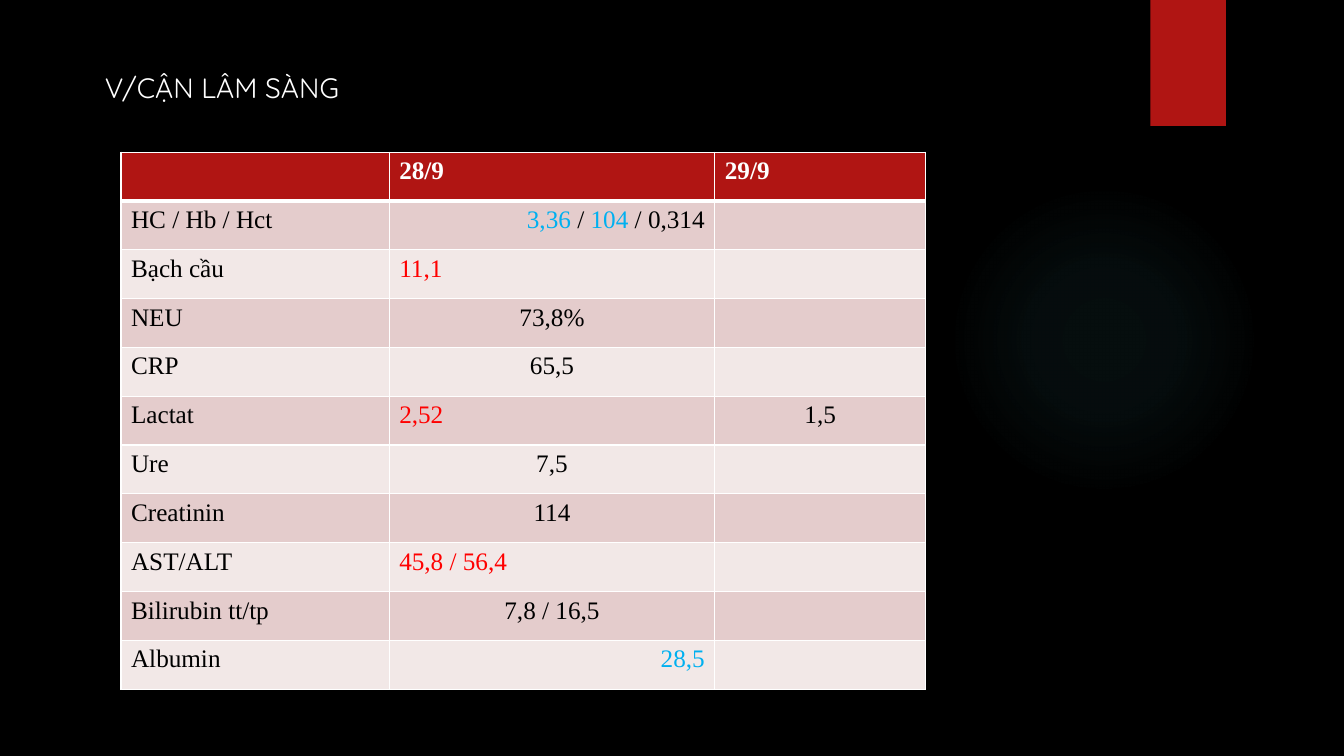
"""Build the laboratory results slide with its table of values for 28/9 and 29/9."""
import pptx
import pptx.dml.color
import pptx.enum.shapes
import pptx.enum.text
import pptx.oxml
import pptx.util

Inches = pptx.util.Inches
Pt = pptx.util.Pt
ALIGN = pptx.enum.text.PP_ALIGN
SHAPE = pptx.enum.shapes.MSO_SHAPE
NS = 'xmlns:a="http://schemas.openxmlformats.org/drawingml/2006/main"'
WHITE, BLACK, CRIMSON, RED, BLUE = "FFFFFF", "000000", "B01513", "FF0000", "00B0F0"
BANDS = ["F2E8E7", "E4CCCC"]


def paint(target, color):
    """Give a fill or a font a solid colour."""
    if hasattr(target, "solid"):
        target.solid()
        target.fore_color.rgb = pptx.dml.color.RGBColor.from_string(color)
    else:
        target.color.rgb = pptx.dml.color.RGBColor.from_string(color)


def write(paragraph, text, color, **formats):
    """Add a run with the given colour and font values."""
    run = paragraph.add_run()
    run.text = text
    for name, value in formats.items():
        setattr(run.font, name, value)
    paint(run.font, color)


deck = pptx.Presentation()
deck.slide_width, deck.slide_height = Inches(13.33), Inches(7.5)
slide = deck.slides.add_slide(deck.slide_layouts[5])
paint(slide.background.fill, BLACK)

heading = slide.shapes.title
heading.left, heading.top, heading.width, heading.height = map(Inches, (0.94, 0.65, 10.05, 0.6))
heading_format = {
    "vertical_anchor": pptx.enum.text.MSO_ANCHOR.TOP,
    "auto_size": pptx.enum.text.MSO_AUTO_SIZE.NONE,
    "word_wrap": True,
}
for name, value in heading_format.items():
    setattr(heading.text_frame, name, value)
heading_line = heading.text_frame.paragraphs[0]
heading_line.alignment = ALIGN.LEFT
write(heading_line, "V/CẬN LÂM SÀNG", WHITE, name="Quicksand", size=Pt(20))

glow = slide.shapes.add_shape(SHAPE.OVAL, *map(Inches, (9.41, 1.83, 3.08, 3.08)))
ribbon = slide.shapes.add_shape(SHAPE.RECTANGLE, *map(Inches, (11.41, 0, 0.75, 1.25)))
for ornament in (glow, ribbon):
    ornament.shadow.inherit = False
    ornament.line.fill.background()
paint(ribbon.fill, CRIMSON)
stops = "".join(
    f'<a:gs pos="{position * 1000}"><a:srgbClr val="50B9C1">'
    f'<a:alpha val="{opacity * 1000}"/></a:srgbClr></a:gs>'
    for position, opacity in [(0, 7), (36, 6), (69, 0)]
)
glow.fill.background()
glow_properties = glow.element.spPr
no_fill = glow_properties.find(pptx.oxml.ns.qn("a:noFill"))
glow_properties.replace(no_fill, pptx.oxml.parse_xml(
    f'<a:gradFill {NS} rotWithShape="1"><a:gsLst>{stops}</a:gsLst><a:path path="circle">'
    '<a:fillToRect l="50000" t="50000" r="50000" b="50000"/></a:path></a:gradFill>'
))

high = {"color": RED, "align": ALIGN.LEFT}
normal = {"color": BLACK, "align": ALIGN.CENTER}
low = {"color": BLUE, "align": ALIGN.RIGHT}
tests = [
    ("HC / Hb / Hct", [("3,36", BLUE), (" / ", BLACK), ("104", BLUE), (" / 0,314", BLACK)], low, ""),
    ("Bạch cầu", "11,1", high, ""),
    ("NEU", "73,8%", normal, ""),
    ("CRP", "65,5", normal, ""),
    ("Lactat", "2,52", high, "1,5"),
    ("Ure", "7,5", normal, ""),
    ("Creatinin", "114", normal, ""),
    ("AST/ALT", "45,8 / 56,4", high, ""),
    ("Bilirubin tt/tp", "7,8 / 16,5", normal, ""),
    ("Albumin", "28,5", low, ""),
]
label = {"color": BLACK, "align": ALIGN.LEFT}
header = {"color": WHITE, "align": ALIGN.LEFT}
rows = [[(text, header) for text in ("", "28/9", "29/9")]]
rows += [[(test, label), (first, level), (second, normal)] for test, first, level, second in tests]

results = slide.shapes.add_table(len(rows), 3, *map(Inches, (1.2, 1.51, 7.98, 5.33))).table
results.horz_banding = False
for column, width in zip(results.columns, (2.66, 3.23, 2.09)):
    column.width = Inches(width)
for row in results.rows:
    row.height = Inches(5.33 / len(rows))

for r, row in enumerate(rows):
    for c, (content, style) in enumerate(row):
        cell = results.cell(r, c)
        borders = {"L": 1, "R": 1, "T": 3 if r == 1 else 1, "B": 3 if r == 0 else 1}
        cell_properties = cell._tc.get_or_add_tcPr()
        for side, points in borders.items():
            cell_properties.append(pptx.oxml.parse_xml(
                f'<a:ln{side} {NS} w="{Pt(points)}"><a:solidFill>'
                f'<a:srgbClr val="{WHITE}"/></a:solidFill></a:ln{side}>'
            ))
        paint(cell.fill, CRIMSON if r == 0 else BANDS[r % 2])
        paragraph = cell.text_frame.paragraphs[0]
        paragraph.alignment = style["align"]
        pieces = [(content, style["color"])] if isinstance(content, str) else content
        for text, color in pieces:
            if text:
                write(paragraph, text, color, name="Times New Roman", size=Pt(18), bold=r == 0)

deck.save("out.pptx")
